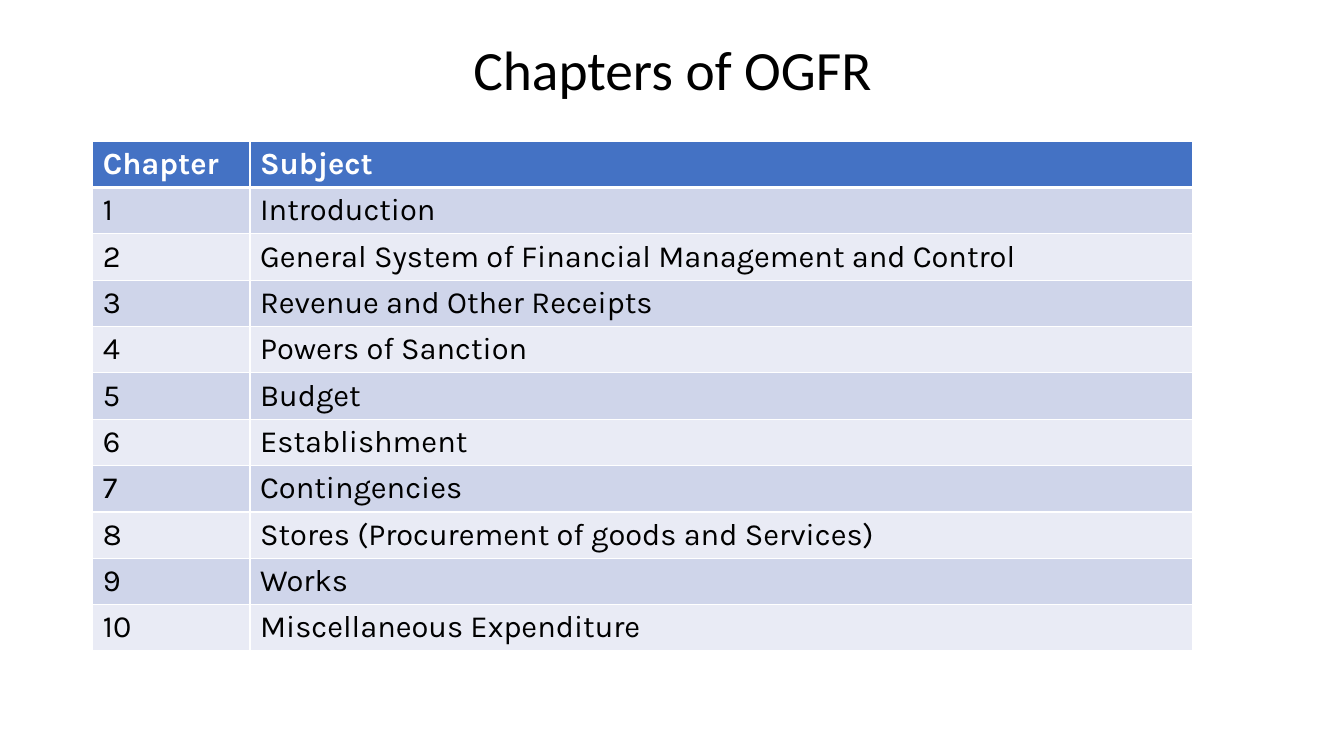
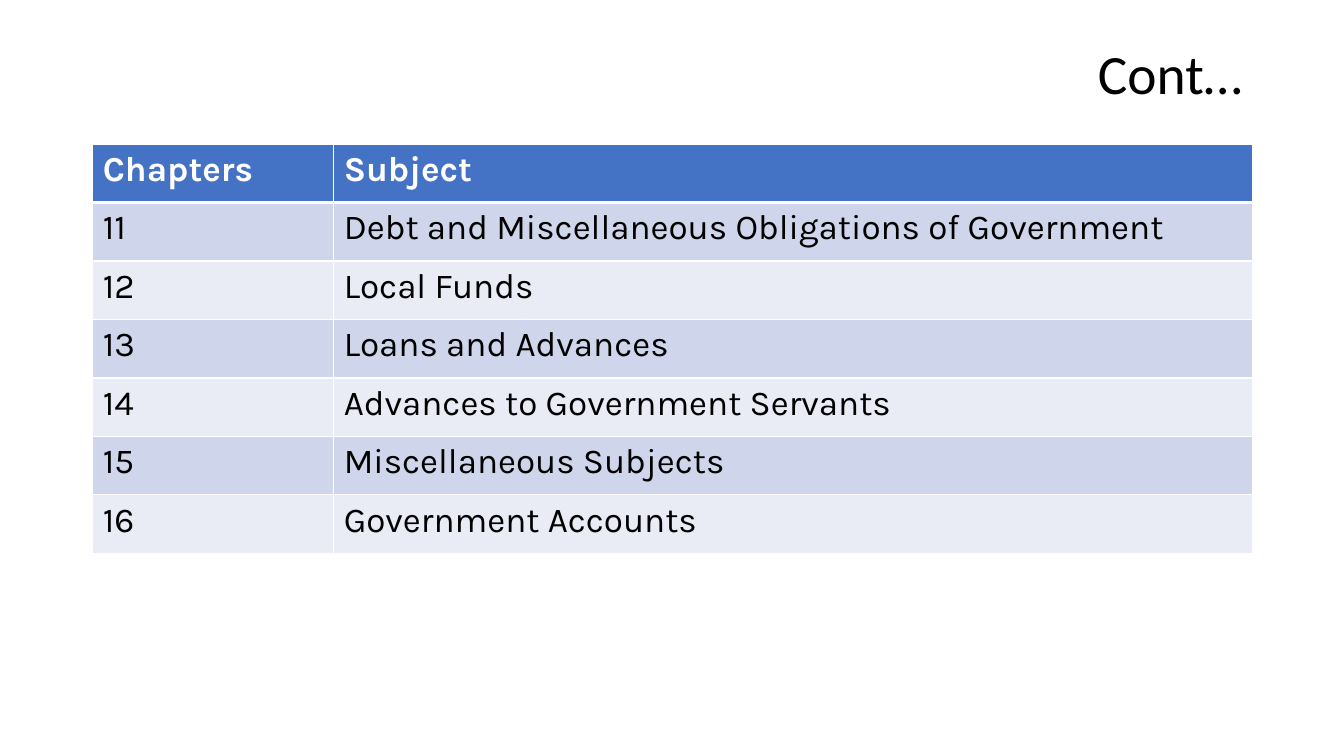
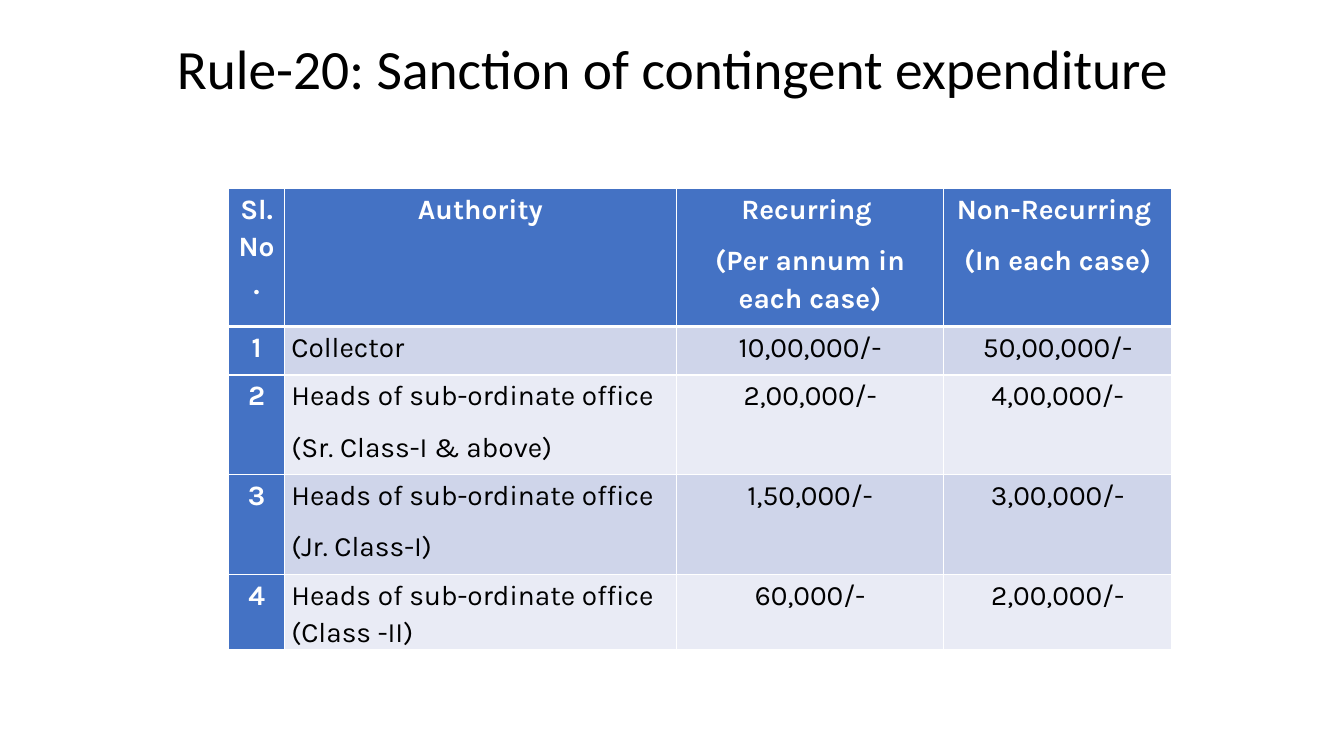
from lxml import etree
from pptx import Presentation
from pptx.dml.color import RGBColor
from pptx.enum.text import MSO_ANCHOR, PP_ALIGN
from pptx.oxml.ns import qn
from pptx.util import Inches, Pt

LEFT, CENTER, RIGHT = PP_ALIGN.LEFT, PP_ALIGN.CENTER, PP_ALIGN.RIGHT
MIDDLE = MSO_ANCHOR.MIDDLE

WHITE, BLACK, BLUE = "FFFFFF", "000000", "4472C4"
BANDS = ["CFD5EA", "E9EBF5"]
TITLE_FONT, TABLE_FONT = "Calibri", "Karla"
MARGIN, TITLE_TOP, TITLE_WIDTH = 0.92, 0.4, 11.5
TITLE_ONLY = 5

CHAPTERS = [
    ["Chapter", "Subject"],
    ["1", "Introduction"],
    ["2", "General System of Financial Management and Control"],
    ["3", "Revenue and Other Receipts"],
    ["4", "Powers of Sanction"],
    ["5", "Budget"],
    ["6", "Establishment"],
    ["7", "Contingencies"],
    ["8", "Stores (Procurement of goods and Services)"],
    ["9", "Works"],
    ["10", "Miscellaneous Expenditure"],
]
MORE_CHAPTERS = [
    ["Chapters", "Subject"],
    ["11", "Debt and Miscellaneous Obligations of Government"],
    ["12", "Local Funds"],
    ["13", "Loans and Advances"],
    ["14", "Advances to Government Servants"],
    ["15", "Miscellaneous Subjects"],
    ["16", "Government Accounts"],
]
SANCTION_LIMITS = [
    ["Sl. No.", "Authority", "Recurring \n(Per annum in each case)",
     "Non-Recurring \n(In each case)"],
    ["1", "Collector", "10,00,000/-", "50,00,000/-"],
    ["2", "Heads of sub-ordinate office\n(Sr. Class-I & above)",
     "2,00,000/-", "4,00,000/-"],
    ["3", "Heads of sub-ordinate office\n(Jr. Class-I)",
     "1,50,000/-", "3,00,000/-"],
    ["4", "Heads of sub-ordinate office (Class -II)",
     "60,000/-", "2,00,000/-"],
]


def color(value):
    """Return the colour for a hex string."""
    return RGBColor.from_string(value)


def format_font(paragraph, name, size, value, bold=False):
    """Format every run of a paragraph."""
    for run in paragraph.runs:
        run.font.name = name
        run.font.size = Pt(size)
        run.font.bold = bold
        run.font.color.rgb = color(value)


def add_titled_slide(presentation, title, height, alignment=CENTER):
    """Add a slide with its title in the shared style."""
    slide = presentation.slides.add_slide(presentation.slide_layouts[TITLE_ONLY])
    shape = slide.shapes.title
    shape.left, shape.top = Inches(MARGIN), Inches(TITLE_TOP)
    shape.width, shape.height = Inches(TITLE_WIDTH), Inches(height)
    shape.text_frame.text = title
    shape.text_frame.vertical_anchor = MIDDLE
    paragraph = shape.text_frame.paragraphs[0]
    paragraph.alignment = alignment
    paragraph.line_spacing = 0.9
    format_font(paragraph, TITLE_FONT, 39.6, BLACK)
    return slide


def set_borders(cell, top, bottom):
    """Draw white cell borders, with top and bottom widths in points."""
    properties = cell._tc.get_or_add_tcPr()
    for side, width in (("L", 1), ("R", 1), ("T", top), ("B", bottom)):
        line = etree.SubElement(properties, qn(f"a:ln{side}"), w=str(Pt(width)))
        fill = etree.SubElement(line, qn("a:solidFill"))
        etree.SubElement(fill, qn("a:srgbClr"), val=WHITE)


def add_banded_table(slide, box, rows, widths, heights, size, first_column=False):
    """Add a table with a blue header and banded rows, and return it."""
    left, top = box
    frame = slide.shapes.add_table(
        len(rows), len(widths), Inches(left), Inches(top),
        Inches(sum(widths)), Inches(sum(heights)))
    table = frame.table
    table.horz_banding = False
    table.first_col = first_column
    for column, width in zip(table.columns, widths):
        column.width = Inches(width)
    for row_index, (row, height) in enumerate(zip(rows, heights)):
        table.rows[row_index].height = Inches(height)
        for column_index, text in enumerate(row):
            cell = table.cell(row_index, column_index)
            heading = row_index == 0 or (first_column and column_index == 0)
            set_borders(cell, 3 if row_index == 1 else 1, 3 if row_index == 0 else 1)
            cell.fill.solid()
            cell.fill.fore_color.rgb = color(
                BLUE if heading else BANDS[(row_index - 1) % 2])
            cell.text_frame.text = text
            for paragraph in cell.text_frame.paragraphs:
                format_font(paragraph, TABLE_FONT, size,
                            WHITE if heading else BLACK, heading)
    return table


def space_sanction_table(table):
    """Apply narrow insets, open line spacing and centring to the limits."""
    for row_index, row in enumerate(table.rows):
        for column_index, cell in enumerate(row.cells):
            cell.margin_left = cell.margin_right = Inches(0.07)
            cell.margin_top = cell.margin_bottom = 0
            authority = row_index > 0 and column_index == 1
            for paragraph in cell.text_frame.paragraphs:
                paragraph.alignment = LEFT if authority else CENTER
                paragraph.line_spacing = 1.15
                paragraph.space_after = Pt(10)


def main():
    """Build and save the presentation."""
    presentation = Presentation()
    presentation.slide_width, presentation.slide_height = Inches(13.33), Inches(7.5)

    slide = add_titled_slide(presentation, "Chapters of OGFR", 0.64)
    add_banded_table(slide, (MARGIN, 1.4), CHAPTERS, [1.56, 9.35],
                     [0.46] * len(CHAPTERS), 22)

    slide = add_titled_slide(presentation, "Cont…", 0.71, RIGHT)
    add_banded_table(slide, (MARGIN, 1.43), MORE_CHAPTERS, [2.39, 9.11],
                     [0.58] * len(MORE_CHAPTERS), 25)

    slide = add_titled_slide(
        presentation, "Rule-20: Sanction of contingent expenditure", 0.61)
    table = add_banded_table(slide, (2.27, 1.87), SANCTION_LIMITS,
                             [0.55, 3.89, 2.65, 2.26],
                             [1.37, 0.48, 0.99, 0.99, 0.73], 20, True)
    space_sanction_table(table)

    presentation.save("out.pptx")


if __name__ == "__main__":
    main()
